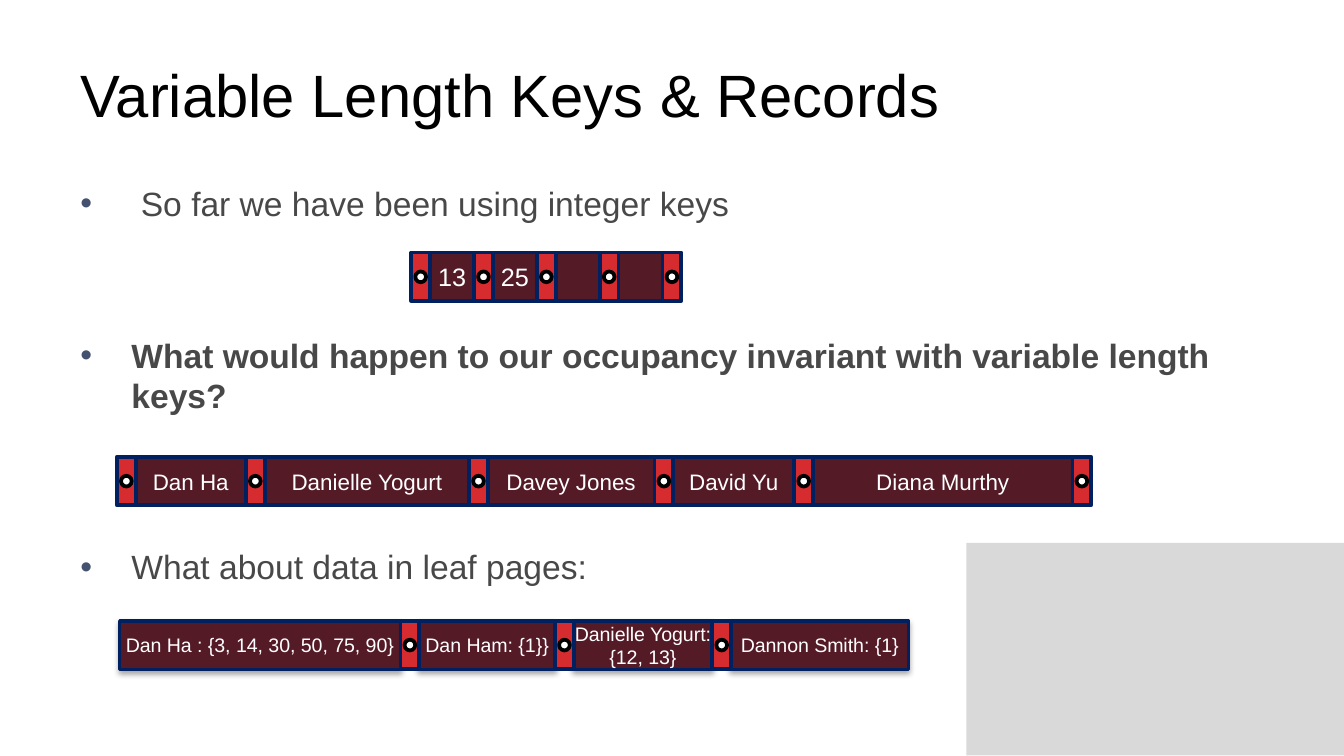
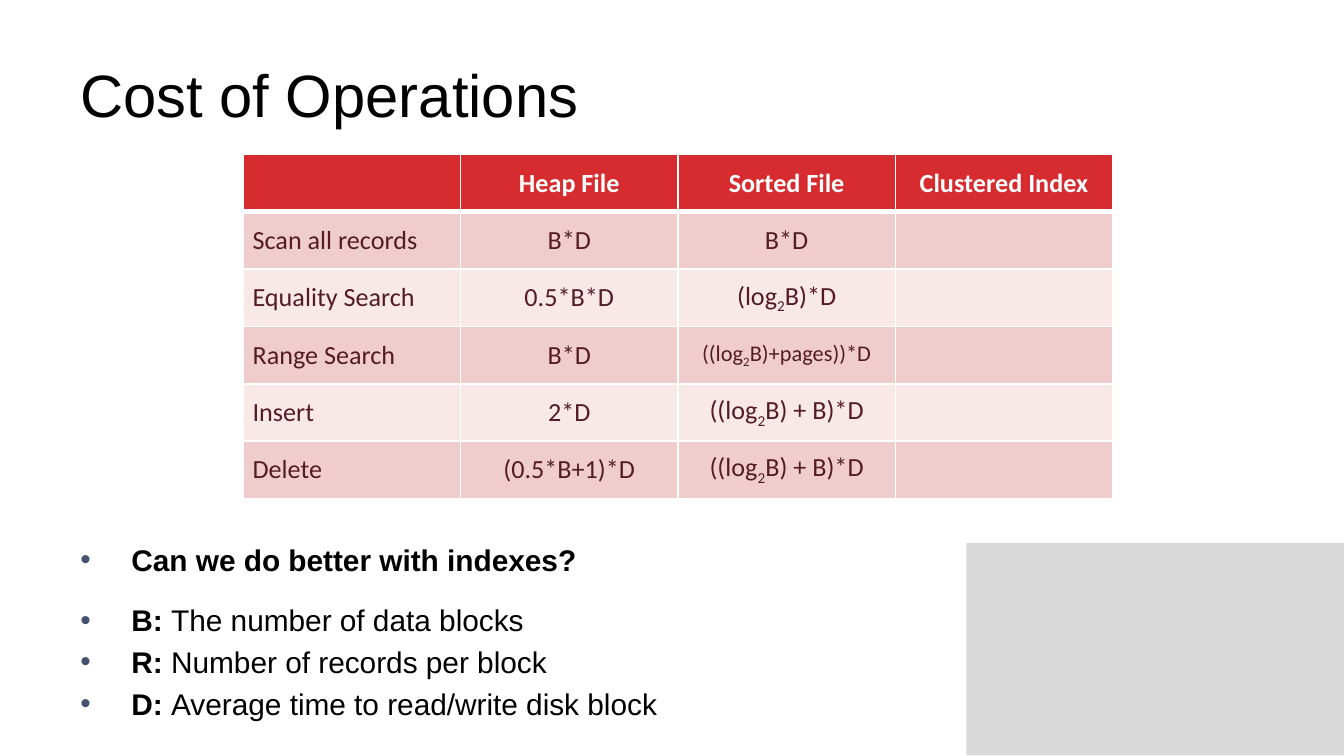
import pptx
import pptx.util
import pptx.dml.color
import pptx.enum.shapes
import pptx.enum.text
import pptx.oxml.ns
import lxml.etree

Inches = pptx.util.Inches
Pt = pptx.util.Pt
RGBColor = pptx.dml.color.RGBColor
SHAPE = pptx.enum.shapes.MSO_SHAPE
ALIGN = pptx.enum.text.PP_ALIGN
MIDDLE = pptx.enum.text.MSO_ANCHOR.MIDDLE
qn = pptx.oxml.ns.qn

BLACK = RGBColor(0x00, 0x00, 0x00)
WHITE = RGBColor(0xFF, 0xFF, 0xFF)
GREY_TEXT = RGBColor(0x48, 0x48, 0x48)
PANEL = RGBColor(0xD9, 0xD9, 0xD9)
BULLET = RGBColor(0x44, 0x51, 0x6F)
MAROON = RGBColor(0x54, 0x1B, 0x27)
RED = RGBColor(0xD7, 0x2C, 0x2F)
NAVY = RGBColor(0x00, 0x20, 0x60)
BAND_DARK = RGBColor(0xF0, 0xCD, 0xCD)
BAND_LIGHT = RGBColor(0xF8, 0xE8, 0xE8)

POINTER_W = 0.14
NODE_H = 0.36
DOT = 0.08


def write(paragraph, text, size=18, color=BLACK, font="Arial", bold=False, baseline=0):
    """Add one formatted run to a paragraph."""
    run = paragraph.add_run()
    run.text = text
    run.font.size = Pt(size)
    run.font.name = font
    run.font.bold = bold
    run.font.color.rgb = color
    if baseline:
        run.font._element.set("baseline", str(baseline * 1000))


def add_child(parent, tag, **attributes):
    child = lxml.etree.SubElement(parent, qn(tag))
    for name, value in attributes.items():
        child.set(name, str(value))
    return child


def add_color(parent, color):
    return add_child(add_child(parent, "a:solidFill"), "a:srgbClr", val=color)


class Deck:
    def __init__(self):
        self.prs = pptx.Presentation()
        self.prs.slide_width = Inches(10)
        self.prs.slide_height = Inches(10) * 9 // 16
        self.slide = None

    def new_slide(self, title):
        self.slide = self.prs.slides.add_slide(self.prs.slide_layouts[6])
        self.shape(self.slide.shapes, SHAPE.RECTANGLE, 7.19, 4.04, 2.81, 1.58, PANEL)
        frame = self.text_frame(0.5, 0.23, 9, 0.94)
        frame.vertical_anchor = MIDDLE
        write(frame.paragraphs[0], title, size=32)

    def text_frame(self, left, top, width, height):
        box = self.slide.shapes.add_textbox(
            Inches(left), Inches(top), Inches(width), Inches(height))
        box.text_frame.word_wrap = True
        return box.text_frame

    def shape(self, shapes, preset, left, top, width, height, fill,
              line=None, line_width=2, shadow=False):
        item = shapes.add_shape(
            preset, Inches(left), Inches(top), Inches(width), Inches(height))
        item.fill.solid()
        item.fill.fore_color.rgb = fill
        if line is None:
            item.line.fill.background()
        else:
            item.line.color.rgb = line
            item.line.width = Pt(line_width)
        item.shadow.inherit = False
        if shadow:
            effects = item._element.spPr.find(qn("a:effectLst"))
            outer = add_child(effects, "a:outerShdw", blurRad=Pt(3.1), dist=Pt(1.8),
                              dir=5400000, rotWithShape=0)
            tint = add_child(outer, "a:srgbClr", val=BLACK)
            add_child(tint, "a:alpha", val=35000)
        return item

    def bullets(self, left, top, width, height, items):
        """Each item: runs as (text, bold), and its paragraph spacing."""
        frame = self.text_frame(left, top, width, height)
        for index, item in enumerate(items):
            paragraph = frame.paragraphs[0] if index == 0 else frame.add_paragraph()
            indent = Inches(item.get("indent", 0.38))
            properties = paragraph._p.get_or_add_pPr()
            properties.set("marL", str(indent))
            properties.set("indent", str(-indent))
            add_child(add_child(properties, "a:buClr"), "a:srgbClr", val=BULLET)
            add_child(properties, "a:buFont", typeface="Arial")
            add_child(properties, "a:buChar", char="•")
            paragraph.space_before = Pt(item.get("before", 0))
            paragraph.space_after = Pt(item.get("after", 0))
            for text, bold in item["runs"]:
                write(paragraph, text, size=item["size"], color=item["color"], bold=bold)

    def key(self, shapes, left, top, width, text, size, **look):
        cell = self.shape(shapes, SHAPE.RECTANGLE, left, top, width, NODE_H,
                          MAROON, NAVY, **look)
        frame = cell.text_frame
        frame.word_wrap = True
        frame.vertical_anchor = MIDDLE
        frame.margin_left = frame.margin_right = 0
        frame.margin_top = frame.margin_bottom = Inches(0.04)
        if text:
            frame.paragraphs[0].alignment = ALIGN.CENTER
            write(frame.paragraphs[0], text, size=size, color=WHITE)

    def pointer(self, shapes, left, top):
        self.shape(shapes, SHAPE.RECTANGLE, left, top, POINTER_W, NODE_H, RED, NAVY)
        self.shape(shapes, SHAPE.OVAL, left + (POINTER_W - DOT) / 2,
                   top + (NODE_H - DOT) / 2, DOT, DOT, WHITE, BLACK)

    def node(self, left, top, keys, size, outer_pointers=True, **look):
        """Draw a tree page: keys as (text, width) with pointers between them."""
        shapes = self.slide.shapes.add_group_shape().shapes
        pointers = [left] if outer_pointers else []
        x = left + POINTER_W if outer_pointers else left
        for text, width in keys:
            self.key(shapes, x, top, width, text, size, **look)
            pointers.append(x + width)
            x += width + POINTER_W
        if not outer_pointers:
            pointers.pop()
        for pointer_left in pointers:
            self.pointer(shapes, pointer_left, top)

    def table(self, left, top, width, height, rows):
        grid = self.slide.shapes.add_table(
            len(rows), len(rows[0]), Inches(left), Inches(top),
            Inches(width), Inches(height)).table
        grid.horz_banding = False
        for r, row in enumerate(rows):
            for c, text in enumerate(row):
                cell = grid.cell(r, c)
                self.borders(cell, top=3 if r == 1 else 1, bottom=3 if r == 0 else 1)
                cell.fill.solid()
                cell.fill.fore_color.rgb = (
                    RED if r == 0 else BAND_DARK if r % 2 else BAND_LIGHT)
                cell.vertical_anchor = MIDDLE
                cell.margin_left = cell.margin_right = Inches(0.07)
                cell.margin_top = cell.margin_bottom = Inches(0.04)
                if text:
                    self.formula(cell.text_frame.paragraphs[0], text,
                                 header=r == 0, centred=r == 0 or c > 0)

    def borders(self, cell, top, bottom):
        properties = cell._tc.get_or_add_tcPr()
        for side, points in (("L", 1), ("R", 1), ("T", top), ("B", bottom)):
            add_color(add_child(properties, "a:ln" + side, w=Pt(points)), WHITE)

    def formula(self, paragraph, text, header, centred):
        """Write cell text, lowering the base of a logarithm."""
        paragraph.alignment = ALIGN.CENTER if centred else ALIGN.LEFT
        style = dict(size=12 if "pages" in text else 14, font="Calibri",
                     color=WHITE if header else MAROON, bold=header)
        start, base, rest = text.partition("₂")
        write(paragraph, start, **style)
        if base:
            write(paragraph, "2", baseline=-25, **style)
            write(paragraph, rest, **style)


def variable_length_slide(deck):
    deck.new_slide("Variable Length Keys & Records")
    look = dict(size=18, color=GREY_TEXT)
    deck.bullets(0.5, 1.31, 9, 3.71, [
        dict(runs=[("So far we have been using integer keys", False)], indent=0.45, **look),
        dict(runs=[("What would happen to our occupancy invariant with variable "
                    "length keys?", True)], before=60, **look),
        dict(runs=[("What about data in leaf pages:", False)], before=70, **look),
    ])

    # Integer keys share the width left by five pointers
    integers = ("13", "25", "", "")
    integer_w = (2.01 - 5 * POINTER_W) / len(integers)
    deck.node(3.06, 1.88, [(text, integer_w) for text in integers], 13.5)

    # Variable length keys
    deck.node(0.87, 3.4, [("Dan Ha", 0.82), ("Danielle Yogurt", 1.52),
                          ("Davey Jones", 1.24), ("David Yu", 0.9),
                          ("Diana Murthy", 1.93)], 12)

    # Leaf page records
    deck.node(0.89, 4.62, [("Dan Ha : {3, 14, 30, 50, 75, 90}", 2.09),
                           ("Dan Ham: {1}}", 1.01),
                           ("Danielle Yogurt: {12, 13}", 1.03),
                           ("Dannon Smith: {1}", 1.32)], 10.5,
              outer_pointers=False, line_width=1.75, shadow=True)


def cost_slide(deck):
    deck.new_slide("Cost of Operations")

    # Legend below the table
    look = dict(size=16, color=BLACK)
    legend = [("B: ", "The number of data blocks"),
              ("R: ", "Number of records per block"),
              ("D: ", "Average time to read/write disk block")]
    deck.bullets(0.5, 3.98, 9, 1.6, [
        dict(runs=[("Can we do better with indexes?", True)], after=10, **look),
        *(dict(runs=[(symbol, True), (meaning, False)], before=3.2, **look)
          for symbol, meaning in legend),
    ])

    # Cost table
    deck.table(1.81, 1.15, 6.47, 2.56, [
        ("", "Heap File", "Sorted File", "Clustered Index"),
        ("Scan all records", "B*D", "B*D", ""),
        ("Equality Search", "0.5*B*D", "(log₂B)*D", ""),
        ("Range Search", "B*D", "((log₂B)+pages))*D", ""),
        ("Insert", "2*D", "((log₂B) + B)*D", ""),
        ("Delete", "(0.5*B+1)*D", "((log₂B) + B)*D", ""),
    ])


def main():
    deck = Deck()
    variable_length_slide(deck)
    cost_slide(deck)
    deck.prs.save("out.pptx")


if __name__ == "__main__":
    main()
